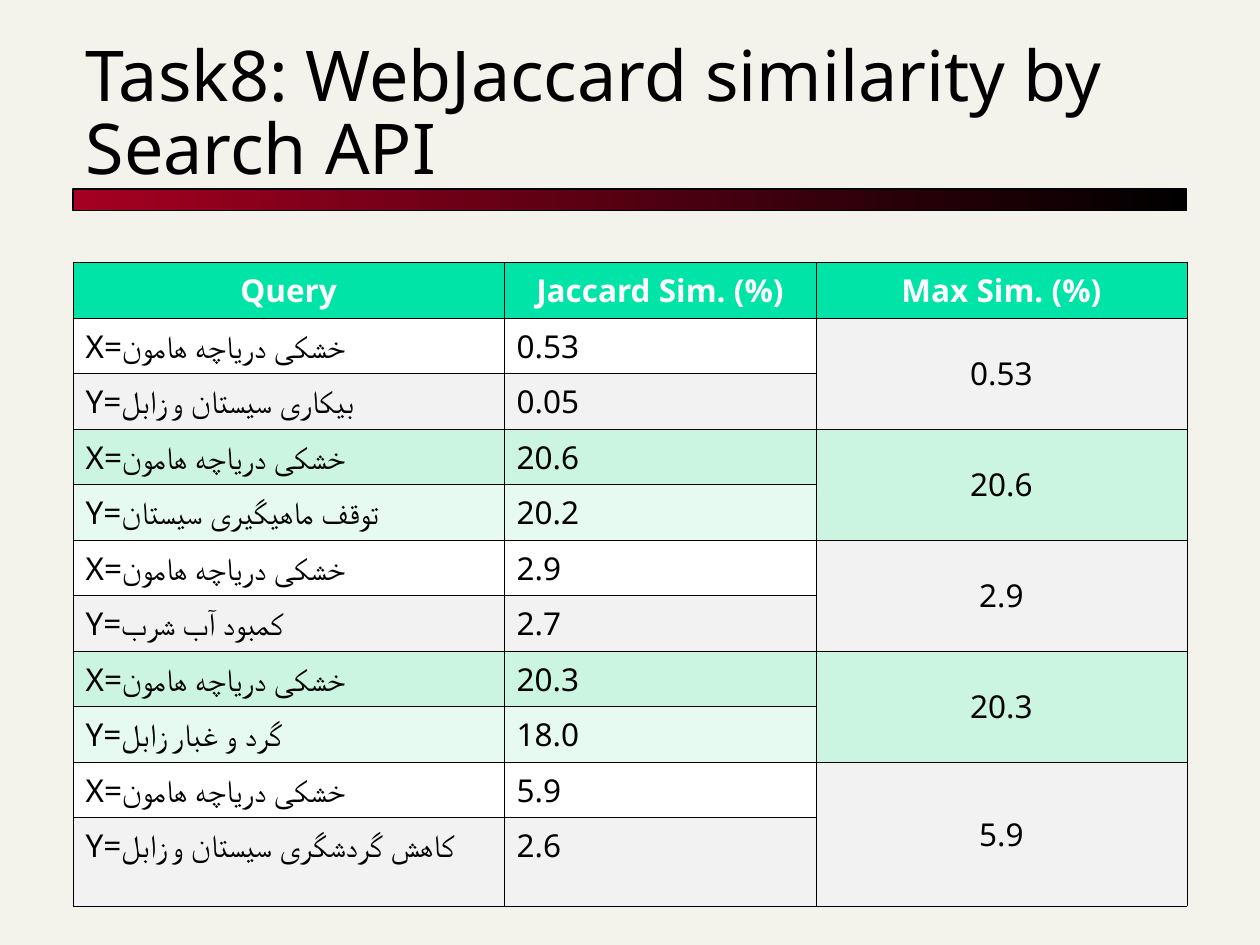
import pptx
import pptx.dml.color
import pptx.enum.shapes
import pptx.enum.text
import pptx.oxml
import pptx.oxml.ns
import pptx.util

SLIDE_W, SLIDE_H = 10, 7.5
FONT = "Noto Sans"
MIDDLE = pptx.enum.text.MSO_ANCHOR.MIDDLE
CENTER, LEFT = pptx.enum.text.PP_ALIGN.CENTER, pptx.enum.text.PP_ALIGN.LEFT
HEADINGS = ["Query", "Jaccard Sim. (%)", "Max Sim. (%)"]
COLUMN_SHARES = [0.387, 0.28, 0.333]
ROW_SHARES = [0.4 / 4.7] * 10 + [0.7 / 4.7]
X_QUERY = "X=خشکی دریاچه هامون"
COMPARISONS = [
    ("0.53", "Y=بیکاری سیستان و زابل", "0.05"),
    ("20.6", "Y=توقف ماهیگیری سیستان", "20.2"),
    ("2.9", "Y=کمبود آب شرب", "2.7"),
    ("20.3", "Y=گرد و غبار زابل", "18.0"),
    ("5.9", "Y=کاهش گردشگری سیستان و زابل", "2.6"),
]
BANDS = [("FFFFFF", "F2F2F2", "F2F2F2"), ("CBF5E1", "E7FAF1", "CBF5E1")]


def color(value):
    """Turn a hex string into a colour."""
    return pptx.dml.color.RGBColor.from_string(value)


def paint(fill, value):
    """Give a fill one solid colour."""
    fill.solid()
    fill.fore_color.rgb = color(value)


def box_of(left, top, width, height):
    """Turn shares of the slide into lengths."""
    return [pptx.util.Inches(share * side) for share, side in
            zip((left, top, width, height), (SLIDE_W, SLIDE_H) * 2)]


def write(frame, text, size=18, ink="000000", bold=False, align=LEFT, spacing=None):
    """Write one formatted paragraph into a text frame."""
    paragraph = frame.paragraphs[0]
    paragraph.alignment = align
    paragraph.line_spacing = spacing
    run = paragraph.add_run()
    run.text = text
    run.font.name = FONT
    run.font.size = pptx.util.Pt(size)
    run.font.bold = bold
    run.font.color.rgb = color(ink)


def place_title(slide, box):
    """Set the title at the bottom of its box."""
    title = slide.shapes.title
    title.left, title.top, title.width, title.height = box
    frame = title.text_frame
    frame.word_wrap = True
    frame.auto_size = pptx.enum.text.MSO_AUTO_SIZE.NONE
    frame.vertical_anchor = pptx.enum.text.MSO_ANCHOR.BOTTOM
    frame.margin_bottom = 0
    write(frame, "Task8: WebJaccard similarity by Search API", size=40, spacing=0.87)


def place_rule(slide, box):
    """Draw the gradient bar below the title."""
    rule = slide.shapes.add_shape(pptx.enum.shapes.MSO_SHAPE.RECTANGLE, *box)
    rule.shadow.inherit = False
    rule.fill.gradient()
    rule.fill.gradient_angle = 0
    for stop, position, value in zip(rule.fill.gradient_stops, (0, 1), ("A50021", "000000")):
        stop.position = position
        stop.color.rgb = color(value)
    rule.line.color.rgb = color("000000")
    rule.line.width = pptx.util.Pt(0.75)


def style_cell(cell, value):
    """Fill a cell and outline its four sides."""
    paint(cell.fill, value)
    properties = cell._tc.get_or_add_tcPr()
    for index, side in enumerate("LRTB"):
        properties.insert(index, pptx.oxml.parse_xml(
            f'<a:ln{side} {pptx.oxml.ns.nsdecls("a")} w="{pptx.util.Pt(0.45)}">'
            '<a:solidFill><a:srgbClr val="000000"/></a:solidFill>'
            f'</a:ln{side}>'))


def place_table(slide, box):
    """Build the similarity table with one merged maximum per query pair."""
    table = slide.shapes.add_table(len(ROW_SHARES), len(HEADINGS), *box).table
    table.horz_banding = False
    for column, share in zip(table.columns, COLUMN_SHARES):
        column.width = int(box[2] * share)
    for row, share in zip(table.rows, ROW_SHARES):
        row.height = int(box[3] * share)
    for index, heading in enumerate(HEADINGS):
        cell = table.cell(0, index)
        style_cell(cell, "00E4A8")
        write(cell.text_frame, heading, ink="FFFFFF", bold=True, align=CENTER)
    for pair, (x_score, y_query, y_score) in enumerate(COMPARISONS):
        first = 1 + 2 * pair
        x_fill, y_fill, max_fill = BANDS[pair % 2]
        entries = [(X_QUERY, x_score, x_fill), (y_query, y_score, y_fill)]
        for row, (query, score, fill) in enumerate(entries, first):
            for index, text in enumerate((query, score)):
                style_cell(table.cell(row, index), fill)
                write(table.cell(row, index).text_frame, text)
            style_cell(table.cell(row, 2), max_fill)
        maximum = table.cell(first, 2)
        maximum.merge(table.cell(first + 1, 2))
        maximum.vertical_anchor = MIDDLE
        write(maximum.text_frame, x_score, align=CENTER)


def main():
    """Build and save the slide."""
    deck = pptx.Presentation()
    deck.slide_width = pptx.util.Inches(SLIDE_W)
    deck.slide_height = pptx.util.Inches(SLIDE_H)
    slide = deck.slides.add_slide(deck.slide_layouts[5])
    paint(slide.background.fill, "F4F3EB")
    left, width = 0.058, 0.884
    place_rule(slide, box_of(left, 0.2, width, 0.023))
    place_title(slide, box_of(left, 0.056, width, 0.144))
    place_table(slide, box_of(left, 0.278, width, 4.7 / SLIDE_H))
    deck.save("out.pptx")


if __name__ == "__main__":
    main()
